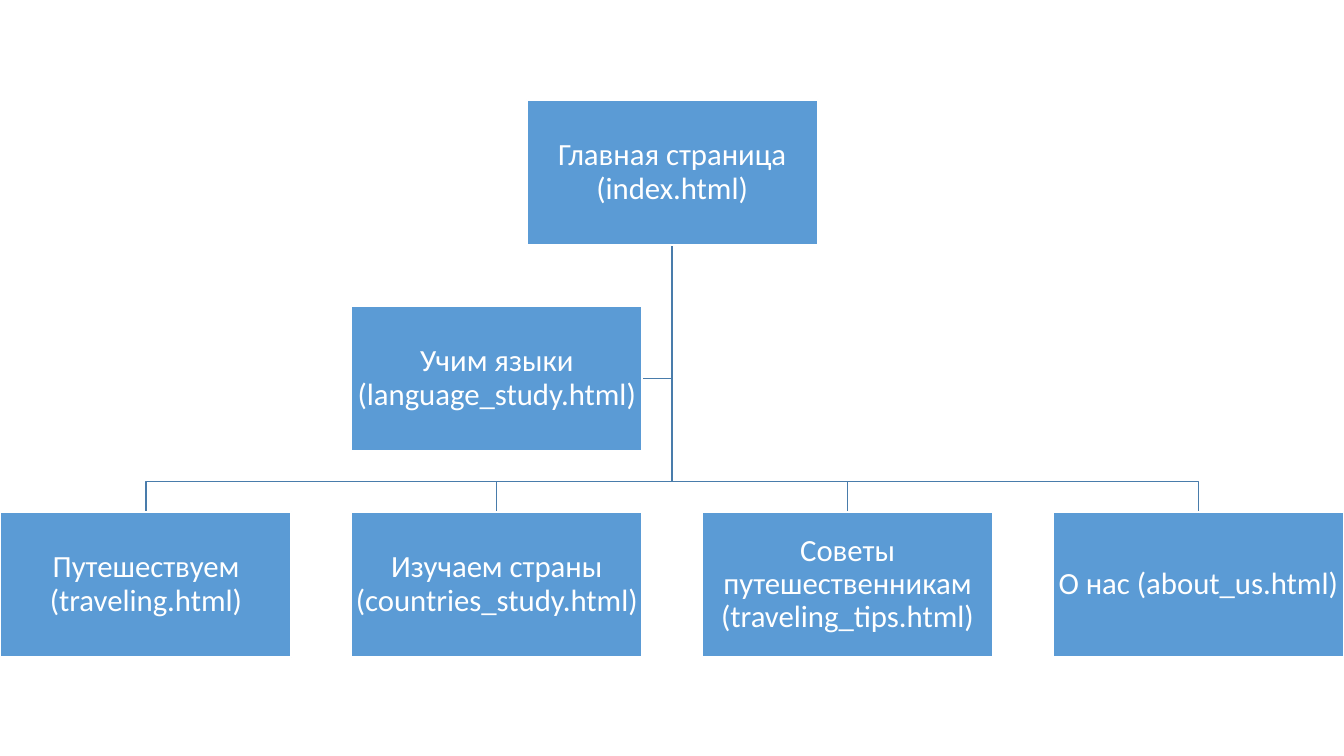
import pptx
import pptx.dml.color
import pptx.enum.shapes
import pptx.enum.text
import pptx.util

Cm = pptx.util.Cm
Pt = pptx.util.Pt

SLIDE_WIDTH, SLIDE_HEIGHT = 33.87, 19.05
BOX_WIDTH, BOX_HEIGHT = 7.32, 3.66
LEFT, TOP = 0.02, 2.52
COLUMN_STEP, ROW_STEP = 8.84, 5.19
CENTER = LEFT + 1.5 * COLUMN_STEP + BOX_WIDTH / 2

HOME = "Главная страница (index.html)"
LANGUAGES = "Учим языки (language_study.html)"
SECTIONS = [
    "Путешествуем (traveling.html)",
    "Изучаем страны (countries_study.html)",
    "Советы путешественникам (traveling_tips.html)",
    "О нас (about_us.html)",
]


def color(value):
    return pptx.dml.color.RGBColor.from_string(value)


def column_left(column):
    return LEFT + column * COLUMN_STEP


def row_top(row):
    return TOP + row * ROW_STEP


def add_branch(page, points):
    corners = [(Cm(x), Cm(y)) for x, y in points]
    builder = page.shapes.build_freeform(*corners[0], scale=1.0)
    builder.add_line_segments(corners[1:], close=False)
    branch = builder.convert_to_shape()
    branch.shadow.inherit = False
    branch.fill.background()
    branch.line.color.rgb = color("497CAB")
    branch.line.width = Pt(1)


def add_box(page, column, row, text):
    box = page.shapes.add_shape(
        pptx.enum.shapes.MSO_SHAPE.RECTANGLE,
        Cm(column_left(column)), Cm(row_top(row)), Cm(BOX_WIDTH), Cm(BOX_HEIGHT),
    )
    box.shadow.inherit = False
    box.fill.solid()
    box.fill.fore_color.rgb = color("5B9BD5")
    box.line.color.rgb = color("FFFFFF")
    box.line.width = Pt(1)

    frame = box.text_frame
    frame.word_wrap = True
    frame.vertical_anchor = pptx.enum.text.MSO_ANCHOR.MIDDLE
    frame.margin_left = frame.margin_right = Cm(0.05)
    frame.margin_top = frame.margin_bottom = Cm(0.05)
    frame.text = text
    para = frame.paragraphs[0]
    para.alignment = pptx.enum.text.PP_ALIGN.CENTER
    para.line_spacing = 0.9
    span = para.runs[0]
    span.font.name = "Calibri"
    span.font.size = Pt(22)
    span.font.color.rgb = color("FFFFFF")


def main():
    deck = pptx.Presentation()
    deck.slide_width = Cm(SLIDE_WIDTH)
    deck.slide_height = Cm(SLIDE_HEIGHT)
    page = deck.slides.add_slide(deck.slide_layouts[6])

    trunk_top = (CENTER, row_top(0) + BOX_HEIGHT)
    side_middle = row_top(1) + BOX_HEIGHT / 2
    side_right = column_left(1) + BOX_WIDTH
    add_branch(page, [trunk_top, (CENTER, side_middle), (side_right, side_middle)])

    fork = (row_top(1) + BOX_HEIGHT + row_top(2)) / 2
    for column in range(len(SECTIONS)):
        middle = column_left(column) + BOX_WIDTH / 2
        add_branch(page, [trunk_top, (CENTER, fork), (middle, fork), (middle, row_top(2))])

    add_box(page, 1.5, 0, HOME)
    for column, section in enumerate(SECTIONS):
        add_box(page, column, 2, section)
    add_box(page, 1, 1, LANGUAGES)

    deck.save("out.pptx")


main()
